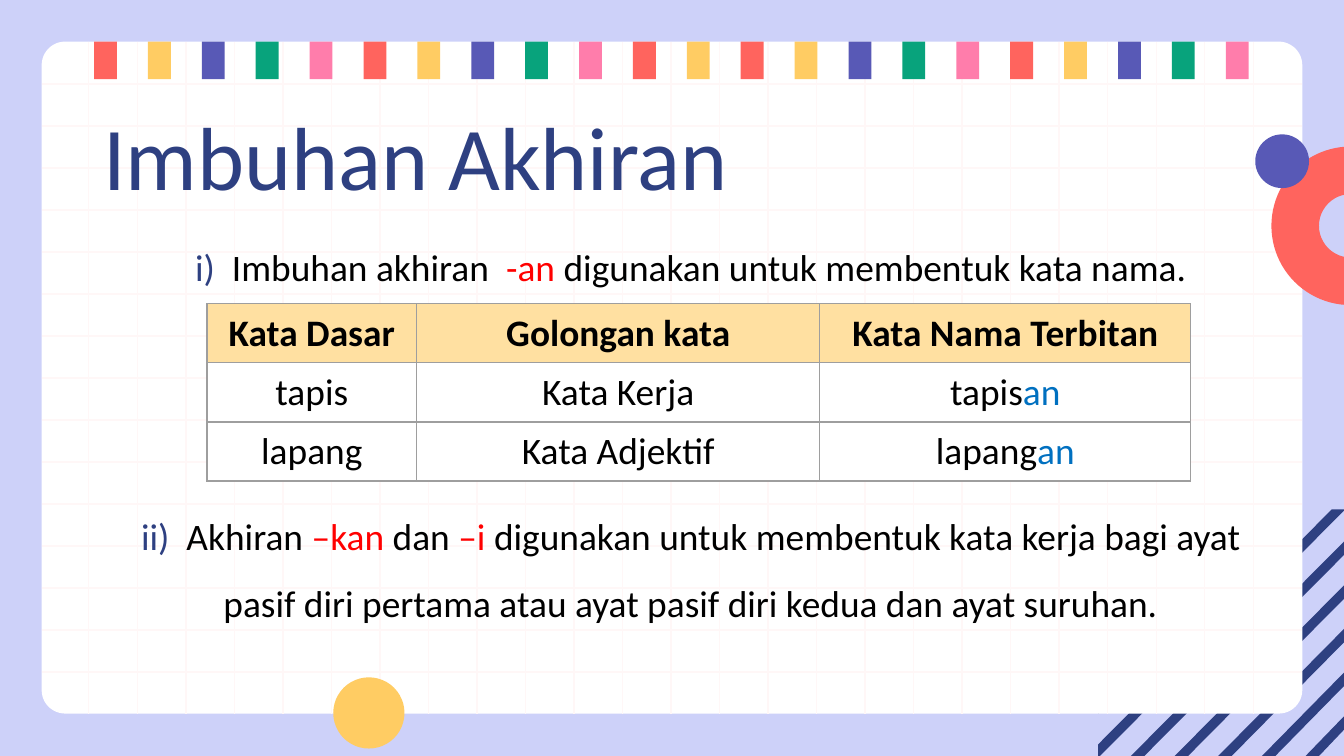
from lxml import etree
from pptx import Presentation, util as u
from pptx.dml.color import RGBColor
from pptx.enum import shapes, text
from pptx.oxml import parse_xml
from pptx.oxml.ns import nsdecls, qn

NAVY, RED, YELLOW, PURPLE = "2E4081", "FF645E", "FFCC63", "5859B6"
GREEN, PINK, BLACK, PURE_RED, BLUE = "08A37C", "FF7DAB", "000000", "FF0000", "0070C0"


def paint(fill, color):
    fill.solid()
    fill.fore_color.rgb = RGBColor.from_string(color)


def write(para, parts, size=20, bold=False):
    """Fill a paragraph with (wording, colour) spans in one font."""
    para.font.name = "Calibri"
    para.font.size = u.Pt(size)
    para.font.bold = bold
    for wording, color in parts:
        span = para.add_run()
        span.text = wording
        paint(span.font.fill, color)


deck = Presentation()
deck.slide_width = u.Inches(10)
deck.slide_height = u.Inches(10 * 9 / 16)
page = deck.slides.add_slide(deck.slide_layouts[6])
paint(page.background.fill, "CDD1F9")
solids = []  # (shape, colour) pairs, styled together below

# Diagonal stripes in the lower right corner
bands = []
for step in range(5):
    left, top = 9.71 - 0.325 * step, 5.33 - 0.325 * step
    bands.append([(10, top), (left, 5.63), (left + 0.1, 5.63), (10, top + 0.1)])
bands.append([(9.91, 3.79), (8.17, 5.54), (8.17, 5.63), (8.18, 5.63), (10, 3.8), (10, 3.79)])
bands.append([(9.59, 3.79), (8.17, 5.21), (8.17, 5.31), (9.68, 3.79)])
for band in bands:
    corners = [(u.Inches(x), u.Inches(y)) for x, y in band]
    builder = page.shapes.build_freeform(*corners[0])
    builder.add_line_segments(corners[1:], close=True)
    solids.append((builder.convert_to_shape(), NAVY))

# White panel with a faint grid
panel = page.shapes.add_shape(
    shapes.MSO_SHAPE.ROUNDED_RECTANGLE,
    u.Inches(0.31), u.Inches(0.31), u.Inches(9.38), u.Inches(5))
panel.adjustments[0] = 0.035
solids.append((panel, "FFFFFF"))

rows = [(0.31, 0.3125 * n, 9.69, 0.3125 * n) for n in range(2, 17)]
columns = [(0.3 + 0.361 * n, 0.31, 0.3 + 0.361 * n, 5.31) for n in range(1, 26)]
for ends in rows + columns:
    grid_line = page.shapes.add_connector(
        shapes.MSO_CONNECTOR.STRAIGHT, *[u.Inches(end) for end in ends])
    paint(grid_line.line.fill, "FFF7F7")
    grid_line.line.width = u.Pt(0.75)
    etree.SubElement(grid_line.element.spPr, qn("a:effectLst"))

# Coloured tabs along the top; the colour cycle restarts after twelve
tab_colors = [RED, YELLOW, PURPLE, GREEN, PINK]
for n in range(22):
    tab = page.shapes.add_shape(
        shapes.MSO_SHAPE.RECTANGLE,
        u.Inches(0.7 + 0.401 * n), u.Inches(0.31), u.Inches(0.17), u.Inches(0.28))
    solids.append((tab, tab_colors[n % 12 % 5]))

# Half ring and dots
ring = page.shapes.add_shape(
    shapes.MSO_SHAPE.BLOCK_ARC,
    u.Inches(9.46), u.Inches(1.09), u.Inches(1.18), u.Inches(1.18))
ring.adjustments[0] = 54  # 90 degrees
ring.adjustments[1] = 162  # 270 degrees
ring.adjustments[2] = 0.3
solids.append((ring, RED))
for left, top, size, color in [(2.48, 5.04, 0.53, YELLOW), (9.34, 1, 0.4, PURPLE)]:
    dot = page.shapes.add_shape(
        shapes.MSO_SHAPE.OVAL,
        u.Inches(left), u.Inches(top), u.Inches(size), u.Inches(size))
    solids.append((dot, color))

for shape, color in solids:
    shape.shadow.inherit = False
    paint(shape.fill, color)
    shape.line.fill.background()

# Title and explanation
frames = []
for area in [(0.67, 0.65, 8.43, 0.63), (0.59, 1.55, 8.95, 3.54)]:
    box = page.shapes.add_textbox(*[u.Inches(length) for length in area])
    frame = box.text_frame
    frame.word_wrap = True
    frame.vertical_anchor = text.MSO_ANCHOR.TOP
    frame.margin_left = frame.margin_right = u.Inches(0.1)
    frame.margin_top = frame.margin_bottom = u.Inches(0.1)
    frames.append(frame)
title, body = frames
write(title.paragraphs[0], [("Imbuhan Akhiran", NAVY)], size=48)

suffix_an = body.paragraphs[0]
write(suffix_an, [
    ("i)  ", NAVY), ("Imbuhan akhiran  ", BLACK), ("-an ", PURE_RED),
    ("digunakan untuk membentuk kata nama.", BLACK)])
suffix_kan = body.add_paragraph()
write(suffix_kan, [
    ("ii)  ", NAVY), ("Akhiran ", BLACK), ("–kan ", PURE_RED), ("dan ", BLACK),
    ("–i ", PURE_RED),
    ("digunakan untuk membentuk kata kerja bagi ayat pasif diri pertama "
     "atau ayat pasif diri kedua dan ayat suruhan.", BLACK)])
suffix_kan.space_before = u.Pt(108)
for para in body.paragraphs:
    para.alignment = text.PP_ALIGN.CENTER
    para.line_spacing = 1.5
    para._p.get_or_add_pPr().set("marL", str(u.Inches(0.15)))

# Word table
words = [
    ["Kata Dasar", "Golongan kata", "Kata Nama Terbitan"],
    ["tapis", "Kata Kerja", "tapis"],
    ["lapang", "Kata Adjektif", "lapang"],
]
table = page.shapes.add_table(
    3, 3, u.Inches(1.54), u.Inches(2.26), u.Inches(7.32), u.Inches(1.32)).table
for column, width in zip(table.columns, [1.56, 3, 2.76]):
    column.width = u.Inches(width)
for r, row in enumerate(words):
    table.rows[r].height = u.Inches(0.44)
    for c, word in enumerate(row):
        cell = table.cell(r, c)
        parts = [(word, BLACK)]
        if r > 0 and c == 2:
            parts.append(("an", BLUE))
        write(cell.text_frame.paragraphs[0], parts, bold=r == 0)
        cell.text_frame.paragraphs[0].alignment = text.PP_ALIGN.CENTER
        for side in "LRTB":
            cell._tc.get_or_add_tcPr().append(parse_xml(
                f'<a:ln{side} {nsdecls("a")} w="{u.Pt(0.75)}"><a:solidFill>'
                f'<a:srgbClr val="9E9E9E"/></a:solidFill></a:ln{side}>'))
        paint(cell.fill, "FFE0A1" if r == 0 else "FFFFFF")

deck.save("out.pptx")
